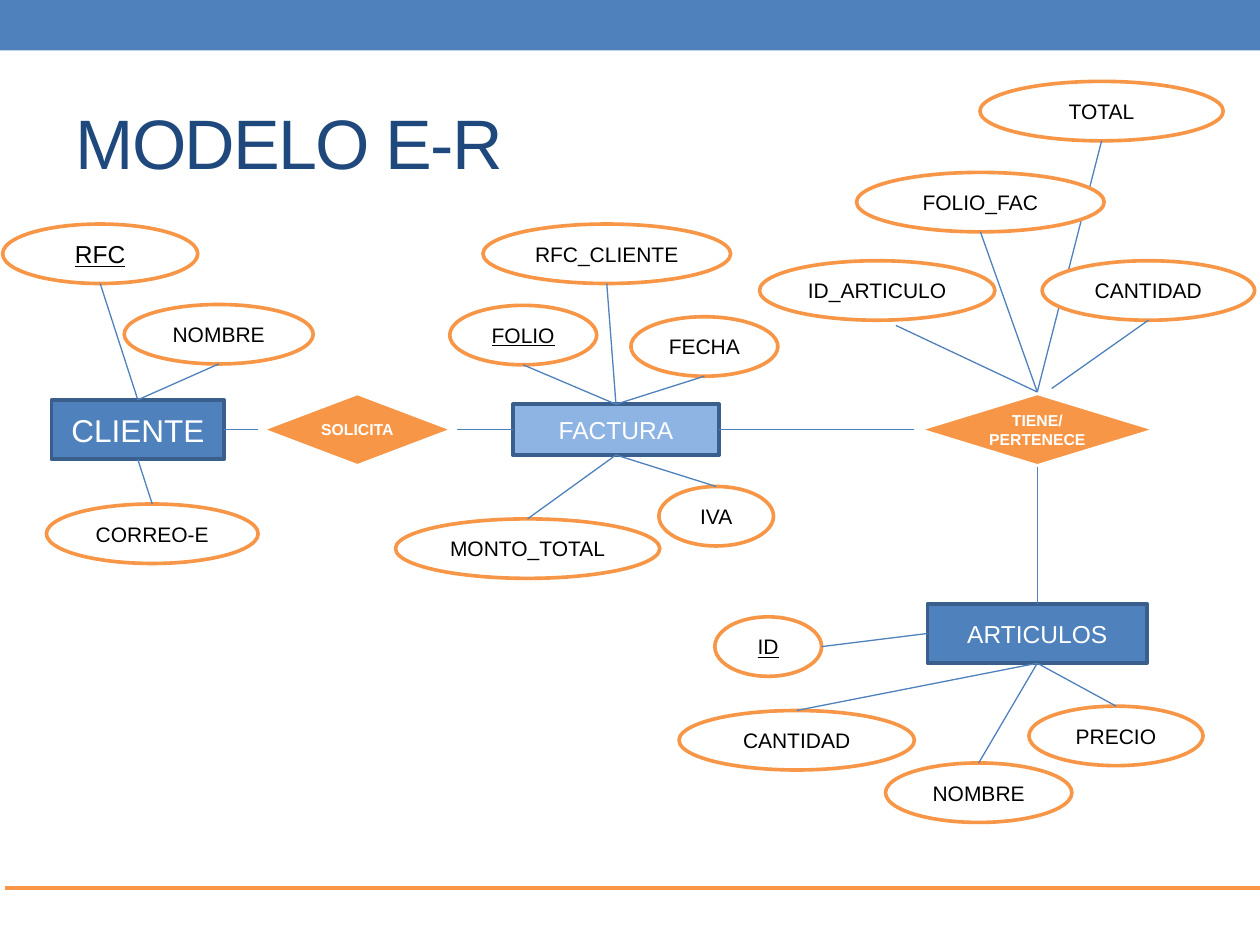
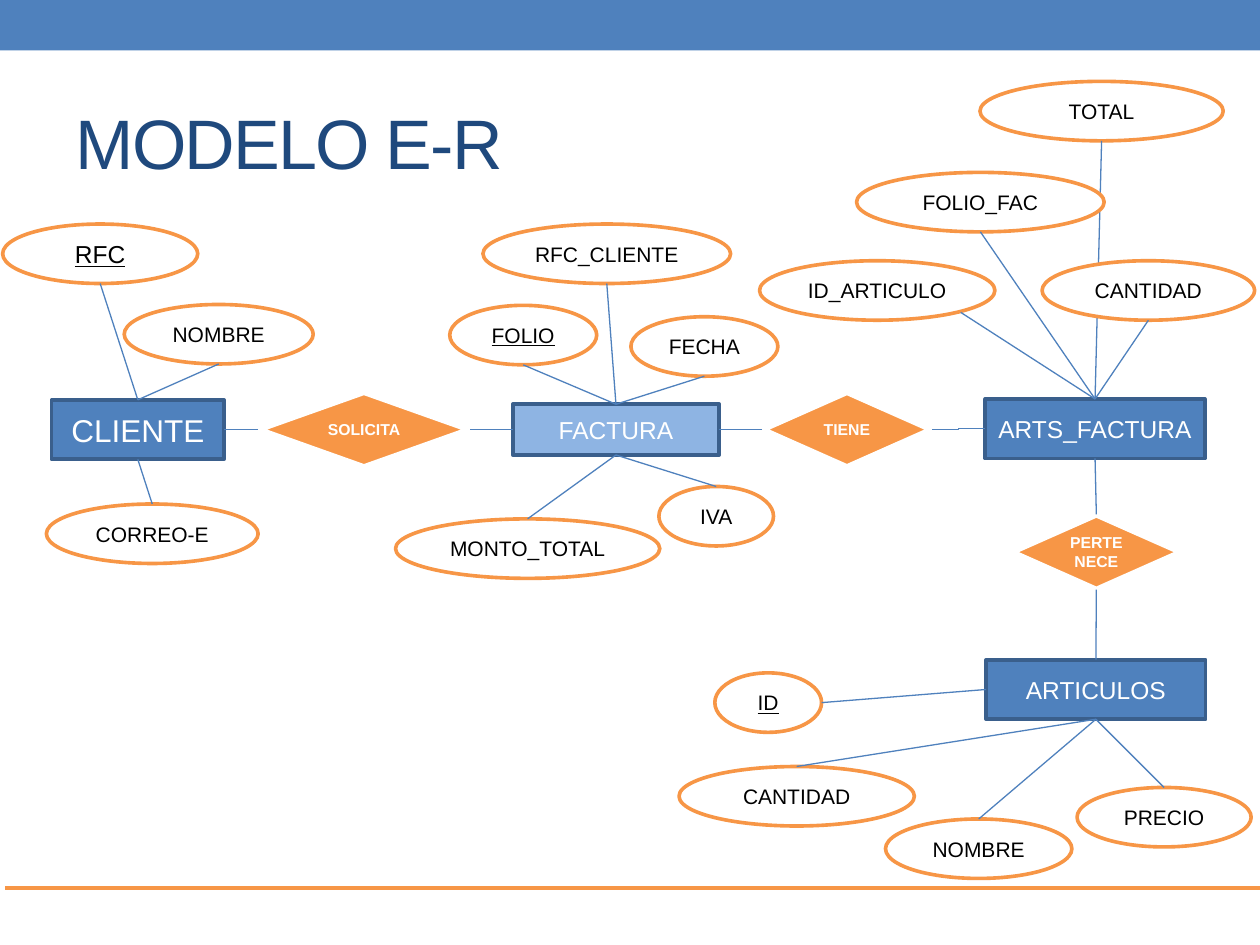
"""Draw two versions of an entity-relationship model for invoices."""
from lxml.etree import SubElement as Sub
from pptx import Presentation
from pptx.dml.color import RGBColor as Rgb
from pptx.enum.shapes import MSO_CONNECTOR as Wire, MSO_SHAPE as Kind
from pptx.enum.text import MSO_ANCHOR as Anchor, PP_ALIGN as Align
from pptx.oxml.ns import qn
from pptx.util import Pt

HUES = {
    "blue": "4F81BD", "edge": "3A5F8C", "pale": "8EB4E3", "navy": "1F497D",
    "gold": "F79646", "white": "FFFFFF", "black": "000000",
}
FACE = "Arial"
HIGH = 34
TOP, LEFT, LOW, RIGHT = range(4)

CLIENT = [
    dict(name="RFC", x=1.5, y=128, w=111.5, size=14, key=True),
    dict(name="NOMBRE", x=71, y=174, w=108),
    dict(name="CORREO-E", x=26.5, y=288, w=121),
]
BILL = [
    dict(name="FOLIO", x=257, y=174.5, w=84, key=True),
    dict(name="RFC_CLIENTE", x=276, y=128, w=141.5),
    dict(name="FECHA", x=360.5, y=181, w=84),
    dict(name="MONTO_TOTAL", x=226, y=296.5, w=151),
    dict(name="IVA", x=376.5, y=278, w=65.5),
]
SALE = [
    dict(name="TOTAL", x=560, y=46.5, w=139),
    dict(name="FOLIO_FAC", x=489.5, y=98.5, w=141.5),
    dict(name="ID_ARTICULO", x=434, y=149, w=134.5),
    dict(name="CANTIDAD", x=595.5, y=149, w=121.5),
]
ITEM = [
    dict(name="CANTIDAD", x=388, y=406, w=134.5),
    dict(name="NOMBRE", x=506, y=436, w=106.5),
    dict(name="PRECIO", x=588, y=403.5, w=99.5),
    dict(name="ID", x=408.5, y=352.5, w=61, key=True),
]


def hue(name):
    return Rgb.from_string(HUES[name])


def write(para, text, size, color, bold=False, under=False):
    run = para.add_run()
    run.text = text
    font = run.font
    font.name, font.size, font.bold = FACE, Pt(size), bold
    font.underline = under
    font.color.rgb = hue(color)
    return run


def block(slide, kind, x, y, w, h, fill, edge=None, width=2.08):
    shape = slide.shapes.add_shape(kind, Pt(x), Pt(y), Pt(w), Pt(h))
    shape.shadow.inherit = False
    shape.fill.solid()
    shape.fill.fore_color.rgb = hue(fill)
    if edge:
        shape.line.color.rgb = hue(edge)
        shape.line.width = Pt(width)
    else:
        shape.line.fill.background()
    return shape


def label(shape, text, size, color, pad=3, bold=False, under=False):
    frame = shape.text_frame
    frame.word_wrap = True
    frame.vertical_anchor = Anchor.MIDDLE
    frame.margin_left = frame.margin_right = Pt(pad)
    para = frame.paragraphs[0]
    para.alignment = Align.CENTER
    write(para, text, size, color, bold, under)


def entity(slide, name, x, y, w, h=HIGH, size=14, fill="blue"):
    shape = block(slide, Kind.RECTANGLE, x, y, w, h, fill, "edge")
    label(shape, name, size, "white")
    return shape


def bond(slide, name, x, w, y=224):
    shape = block(slide, Kind.DIAMOND, x, y, w, 43, "gold", "white", 3.5)
    label(shape, name, 9, "white", pad=7, bold=True)
    return shape


def wire(slide, start, stop, kind=Wire.STRAIGHT, color="blue", width=0.75):
    line = slide.shapes.add_connector(kind, *map(Pt, start + stop))
    line.line.color.rgb = hue(color)
    line.line.width = Pt(width)
    Sub(line.element.spPr, qn("a:effectLst"))
    return line


def join(slide, head, side, tail, end, kind=Wire.ELBOW):
    line = wire(slide, (0, 0), (0, 0), kind)
    line.begin_connect(head, side)
    line.end_connect(tail, end)


def trait(slide, hub, name, x, y, w, size=12, key=False, start=None, stop=None):
    oval = block(slide, Kind.OVAL, x, y, w, HIGH, "white", "gold")
    label(oval, name, size, "black", under=key)
    if oval.top + oval.height < hub.top:
        side, spot = TOP, (x + w / 2, y + HIGH)
    elif oval.top > hub.top + hub.height:
        side, spot = LOW, (x + w / 2, y)
    else:
        side, spot = LEFT, (x + w, y + HIGH / 2)
    line = wire(slide, start or spot, stop or (0, 0))
    if not stop:
        line.end_connect(hub, side)


def traits(slide, hub, rows, edits=None, drop=0):
    for row in rows:
        row = {**row, "y": row["y"] + drop}
        trait(slide, hub, **{**row, **(edits or {}).get(row["name"], {})})


def dress(slide, layout):
    band = block(slide, Kind.RECTANGLE, 0, 0, 720, 28.8, "blue")
    rule = wire(slide, (3, 507.5), (720, 507.5), color="gold", width=2.25)
    for spot, part in enumerate((band, rule)):
        part.element.xpath(".//p:cNvPr")[0].set("id", str(20 + spot))
        layout.shapes.element.insert(2 + spot, part.element)
    head = layout.placeholders[0]
    head.left, head.top, head.width, head.height = map(Pt, (36, 42, 648, 78))


def title(slide, text):
    frame = slide.shapes.title.text_frame
    frame.vertical_anchor = Anchor.MIDDLE
    para = frame.paragraphs[0]
    para.alignment = Align.LEFT
    run = write(para, text, 40, "navy")
    run.font._element.set("spc", "-100")


def base(deck, layout, width):
    slide = deck.slides.add_slide(layout)
    title(slide, "MODELO E-R")
    client = entity(slide, "CLIENTE", 29.5, 228.5, 98.5, size=18)
    bill = entity(slide, "FACTURA", 293, 231, 118, h=29, fill="pale")
    ask = bond(slide, "SOLICITA", 147.5, width)
    join(slide, bill, LEFT, ask, RIGHT)
    join(slide, ask, LEFT, client, RIGHT)
    traits(slide, client, CLIENT)
    traits(slide, bill, BILL)
    return slide, bill


def direct(deck, layout):
    slide, bill = base(deck, layout, 113.5)
    dress(slide, layout)
    has = bond(slide, "TIENE/ PERTENECE", 522.5, 140.5)
    item = entity(slide, "ARTICULOS", 530, 345, 125.5)
    join(slide, has, LEFT, bill, RIGHT)
    join(slide, item, TOP, has, LOW, Wire.STRAIGHT)
    traits(slide, has, SALE, {
        "ID_ARTICULO": dict(start=(512, 186)),
        "CANTIDAD": dict(stop=(601, 222)),
    })
    traits(slide, item, ITEM)


def split(deck, layout):
    slide, bill = base(deck, layout, 121)
    sale = entity(slide, "ARTS_FACTURA", 563, 228, 125.5)
    item = entity(slide, "ARTICULOS", 563.5, 377, 125.5)
    has = bond(slide, "TIENE", 435.5, 97)
    part = bond(slide, "PERTENECE", 578, 97, y=294)
    join(slide, has, LEFT, bill, RIGHT)
    join(slide, sale, LEFT, has, RIGHT)
    join(slide, part, TOP, sale, LOW, Wire.STRAIGHT)
    join(slide, item, TOP, part, LOW, Wire.STRAIGHT)
    traits(slide, sale, SALE, {"ID_ARTICULO": dict(start=(549, 178.5))})
    traits(slide, item, ITEM, {"PRECIO": dict(x=615.5, y=450)}, drop=32)


def main():
    deck = Presentation()
    deck.slide_width, deck.slide_height = Pt(720), Pt(540)
    layout = deck.slide_layouts[5]
    direct(deck, layout)
    split(deck, layout)
    deck.save("out.pptx")


if __name__ == "__main__":
    main()
